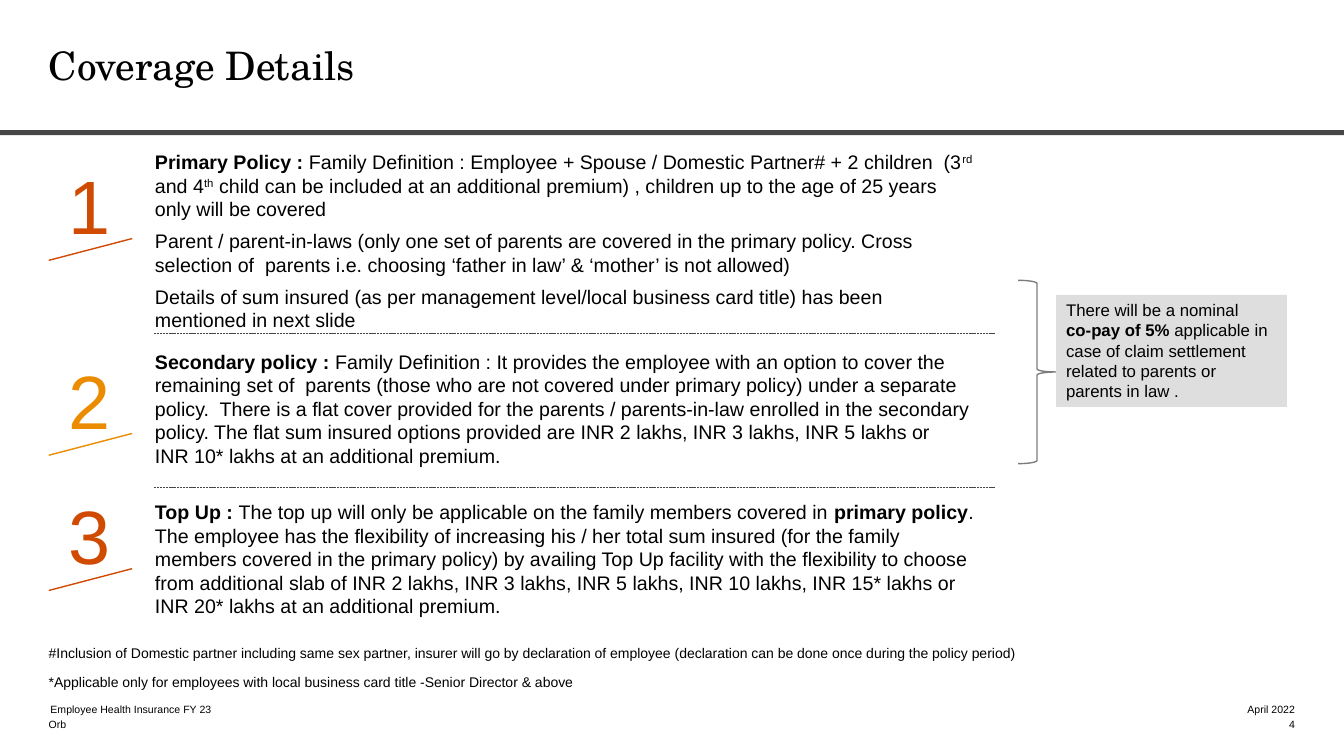
from copy import deepcopy

from lxml.etree import SubElement
from pptx import Presentation
from pptx.dml.color import RGBColor
from pptx.enum.dml import MSO_LINE
from pptx.enum.shapes import MSO_CONNECTOR, MSO_SHAPE
from pptx.enum.text import MSO_ANCHOR as Anchor, PP_ALIGN as Align
from pptx.oxml.ns import qn
from pptx.util import Pt

COLORS = {
    "black": "000000",
    "rule": "464646",
    "brace": "7D7D7D",
    "callout": "DEDEDE",
    "orange": "D04A02",
    "amber": "EB8C00",
}
BOLD = {"bold": True}
SUPERSCRIPT = {"baseline": "30000"}

PRIMARY = [
    [("Primary Policy :", BOLD),
     (" Family Definition : Employee + Spouse / Domestic Partner# + 2 children  (3", {}),
     ("rd", SUPERSCRIPT), (" and 4", {}), ("th", SUPERSCRIPT),
     (" child can be included at an additional premium) , children up to the age of "
      "25 years only will be covered", {})],
    [("Parent / parent-in-laws (only one set of parents are covered in the primary "
      "policy. Cross selection of  parents i.e. choosing ‘father in law’ & ‘mother’ "
      "is not allowed)", {})],
    [("Details of sum insured (as per management level/local business card title) "
      "has been mentioned in next slide", {})],
]
SECONDARY = [
    [("Secondary policy : ", BOLD),
     ("Family Definition : It provides the employee with an option to cover the "
      "remaining set of  parents (those who are not covered under primary policy) "
      "under a separate policy.  There is a flat cover provided for the parents / "
      "parents-in-law enrolled in the secondary policy. The flat sum insured options "
      "provided are INR 2 lakhs, INR 3 lakhs, INR 5 lakhs or \n"
      "INR 10* lakhs at an additional premium.", {})],
]
TOP_UP = [
    [("Top Up : ", BOLD),
     ("The top up will only be applicable on the family members covered in ", {}),
     ("primary policy", BOLD), (".", {})],
    [("The employee has the flexibility of increasing his / her total sum insured "
      "(for the family members covered in the primary policy) by availing Top Up "
      "facility with the flexibility to choose from additional slab of INR 2 lakhs, "
      "INR 3 lakhs, INR 5 lakhs, INR 10 lakhs, INR 15* lakhs or \n"
      "INR 20* lakhs at an additional premium.", {})],
]
CO_PAY = [
    [("There will be a nominal \n", {}), ("co-pay of 5% ", BOLD),
     ("applicable in case of claim settlement related to parents or parents in law .", {})],
]
FOOTNOTES = [
    [("#Inclusion of Domestic partner including same sex partner, insurer will go by "
      "declaration of employee (declaration can be done once during the policy period)", {})],
    [("*Applicable only for employees with local business card title "
      "-Senior Director & above", {})],
]

# Number, colour, top of number, top and height of text, text, paragraph spacing
POLICIES = [
    ("1", "orange", 111.6, 107.3, 131, PRIMARY, {"space_after": Pt(6)}),
    ("2", "amber", 250.8, 249.8, 85, SECONDARY,
     {"space_before": Pt(4.8), "space_after": Pt(4.8)}),
    ("3", "orange", 347.4, 357.1, 85, TOP_UP, {}),
]
FOOTER = [
    ("Employee Health Insurance FY 23", 36, 500.4, 431, Align.LEFT),
    ("Orb", 34.8, 511.2, 431, Align.LEFT),
    ("April 2022", 786, 500.4, 139, Align.RIGHT),
    ("4", 786, 511.2, 139, Align.RIGHT),
]


def rgb(color):
    return RGBColor.from_string(COLORS[color])


def set_format(target, values):
    for name, value in values.items():
        setattr(target, name, value)


def fill_text(frame, paragraphs, size, color="black", face="Arial", inset=(0, 0),
              anchor=Anchor.TOP, **spacing):
    """Write paragraphs of (text, style) runs; a newline is a line break."""
    side, top = map(Pt, inset)
    set_format(frame, {"word_wrap": True, "vertical_anchor": anchor,
                       "margin_left": side, "margin_right": side,
                       "margin_top": top, "margin_bottom": top})
    for index, runs in enumerate(paragraphs):
        paragraph = frame.add_paragraph() if index else frame.paragraphs[0]
        set_format(paragraph, {"alignment": Align.LEFT, **spacing})
        for text, style in runs:
            for part, line in enumerate(text.split("\n")):
                if part:
                    paragraph.add_line_break()
                    paragraph._p[-1].append(deepcopy(properties))
                if not line:
                    continue
                run = paragraph.add_run()
                run.text = line
                set_format(run.font, {"name": face, "size": Pt(size),
                                      "bold": style.get("bold", False)})
                run.font.color.rgb = rgb(color)
                properties = run._r.get_or_add_rPr()
                if "baseline" in style:
                    properties.set("baseline", style["baseline"])


def add_text(shapes, box, paragraphs, size, **options):
    frame = shapes.add_textbox(*map(Pt, box)).text_frame
    fill_text(frame, paragraphs, size, **options)


def add_line(shapes, ends, color, width, dash=None):
    line = shapes.add_connector(MSO_CONNECTOR.STRAIGHT, *map(Pt, ends))
    line.line.color.rgb = rgb(color)
    set_format(line.line, {"width": Pt(width), "dash_style": dash})
    SubElement(line._element.spPr, qn("a:effectLst"))


def add_preset(shapes, preset, box, fill=None, outline=None):
    shape = shapes.add_shape(preset, *map(Pt, box))
    shape.shadow.inherit = False
    if fill:
        shape.fill.solid()
        shape.fill.fore_color.rgb = rgb(fill)
    else:
        shape.fill.background()
    if outline:
        shape.line.color.rgb = rgb(outline)
        shape.line.width = Pt(1)
    else:
        shape.line.fill.background()
    return shape


def add_number(shapes, number, color, top):
    """Large policy number above a slanted stroke."""
    badge = shapes.add_group_shape().shapes
    add_line(badge, (34.8, top + 74.4, 94.4, top + 58.8), color, 1)
    add_text(badge, (49, top, 44.6, 68.4), [[(number, {})]], 54, color=color,
             anchor=Anchor.MIDDLE, space_after=Pt(9))


def main():
    deck = Presentation()
    set_format(deck, {"slide_width": Pt(960), "slide_height": Pt(540)})
    slide = deck.slides.add_slide(deck.slide_layouts[5])
    shapes = slide.shapes

    add_preset(shapes, MSO_SHAPE.RECTANGLE, (0, 92.9, 960, 3.6), fill="rule")
    title = shapes.title
    set_format(title, {"left": Pt(34.8), "top": Pt(0),
                       "width": Pt(890), "height": Pt(92.9)})
    fill_text(title.text_frame, [[("Coverage Details", {})]], 28,
              face="TeX Gyre Schola", anchor=Anchor.MIDDLE)

    for number, color, number_top, top, height, text, spacing in POLICIES:
        add_number(shapes, number, color, number_top)
        add_text(shapes, (110.7, top, 587.5, height), text, 14, **spacing)
    for y in (238.3, 348):
        add_line(shapes, (110.2, y, 710.8, y), "rule", 0.5, MSO_LINE.SQUARE_DOT)

    add_preset(shapes, MSO_SHAPE.RIGHT_BRACE, (727.2, 200.2, 27, 131), outline="brace")
    callout = add_preset(shapes, MSO_SHAPE.RECTANGLE, (754.4, 210.7, 164.9, 80),
                         fill="callout")
    fill_text(callout.text_frame, CO_PAY, 12, inset=(7.2, 3.6), space_after=Pt(6))

    add_text(shapes, (34.8, 460, 719.3, 34), FOOTNOTES, 10, space_after=Pt(9))
    for text, left, top, width, alignment in FOOTER:
        add_text(shapes, (left, top, width, 10.8), [[(text, {})]], 7.5,
                 anchor=Anchor.BOTTOM, alignment=alignment)

    deck.save("out.pptx")


if __name__ == "__main__":
    main()
